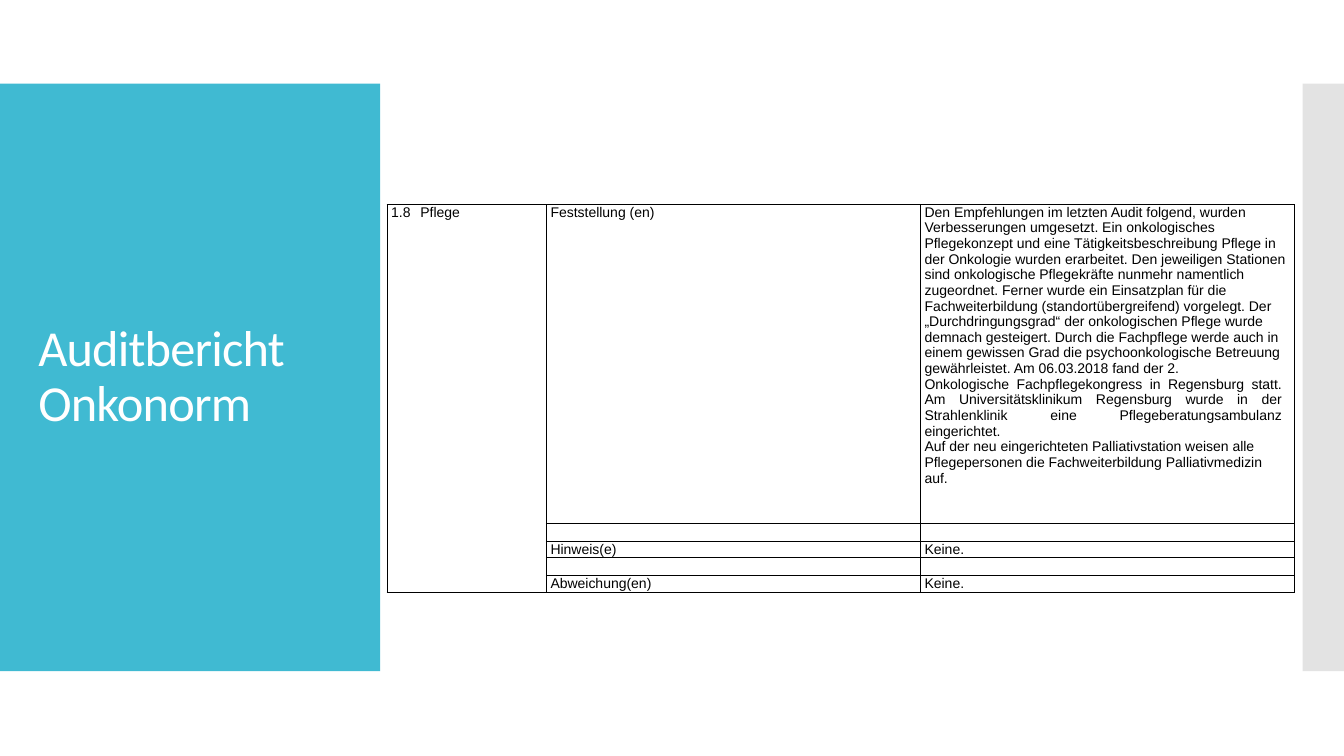
import pptx
import pptx.util
import pptx.dml.color
import pptx.enum.shapes
import pptx.enum.text
import pptx.oxml.ns
from lxml import etree

Inches, Pt = pptx.util.Inches, pptx.util.Pt
ALIGN = pptx.enum.text.PP_ALIGN
WIDTH, HEIGHT = 13.33, 7.5
COLORS = {"panel": "40BAD2", "strip": "C8C8C8", "title": "FFFFFF", "ink": "000000"}
COLUMNS = [1.58, 3.71, 3.71]
ROWS = [3.16, 0.18, 0.16, 0.18, 0.17]
FINDINGS = [
    "Den Empfehlungen im letzten Audit folgend, wurden Verbesserungen umgesetzt. "
    "Ein onkologisches Pflegekonzept und eine Tätigkeitsbeschreibung Pflege in der "
    "Onkologie wurden erarbeitet. Den jeweiligen Stationen sind onkologische "
    "Pflegekräfte nunmehr namentlich zugeordnet. Ferner wurde ein Einsatzplan für die "
    "Fachweiterbildung (standortübergreifend) vorgelegt. Der „Durchdringungsgrad“ der "
    "onkologischen Pflege wurde demnach gesteigert. Durch die Fachpflege werde auch in "
    "einem gewissen Grad die psychoonkologische Betreuung gewährleistet. "
    "Am 06.03.2018 fand der 2.",
    "Onkologische Fachpflegekongress in Regensburg statt. Am Universitätsklinikum "
    "Regensburg wurde in der Strahlenklinik eine Pflegeberatungsambulanz eingerichtet.",
    "Auf der neu eingerichteten Palliativstation weisen alle Pflegepersonen die "
    "Fachweiterbildung Palliativmedizin auf.",
]
ENTRIES = [
    (["Feststellung (en)"], FINDINGS, 11.3),
    ([""], [""], None),
    (["Hinweis(e)"], ["Keine."], 11.3),
    ([""], [""], None),
    (["Abweichung(en)"], ["Keine."], 11.5),
]


def color(name):
    """Return the named palette colour."""
    return pptx.dml.color.RGBColor.from_string(COLORS[name])


def add_xml(parent, tag, **attributes):
    """Append a DrawingML element to a parent."""
    child = etree.SubElement(parent, pptx.oxml.ns.qn(tag))
    for key, value in attributes.items():
        child.set(key, str(value))
    return child


def style_font(font, name, size, color_name):
    """Set family, size and colour of a font."""
    font.name, font.size = name, Pt(size)
    font.color.rgb = color(color_name)


def add_band(page, box, color_name, opacity=None):
    """Draw a plain rectangle, optionally translucent."""
    band = page.shapes.add_shape(
        pptx.enum.shapes.MSO_SHAPE.RECTANGLE, *map(Inches, box))
    band.shadow.inherit = False
    band.fill.solid()
    band.fill.fore_color.rgb = color(color_name)
    band.line.fill.background()
    if opacity is not None:
        tint = band.fill._xPr.find(".//" + pptx.oxml.ns.qn("a:srgbClr"))
        add_xml(tint, "a:alpha", val=int(opacity * 100000))


def add_title_panel(page, box, text):
    """Fill the coloured panel and place the title inside it."""
    left, top, width, height = box
    add_band(page, box, "panel")
    title = page.shapes.title
    page.shapes._spTree.append(title._element)
    title.left, title.top = Inches(left + 0.28), Inches(top + 0.4)
    title.width, title.height = Inches(width - 0.55), Inches(height - 0.8)
    frame = title.text_frame
    frame.text = text
    frame.word_wrap = True
    frame.auto_size = pptx.enum.text.MSO_AUTO_SIZE.NONE
    frame.vertical_anchor = pptx.enum.text.MSO_ANCHOR.MIDDLE
    para = frame.paragraphs[0]
    para.alignment, para.line_spacing = ALIGN.LEFT, 0.9
    style_font(para.font, "Calibri", 36, "title")
    para.font._element.set("spc", "-60")


def border_cell(cell):
    """Give a cell thin borders on all sides and no fill."""
    properties = cell._tc.get_or_add_tcPr()
    for side in ("a:lnL", "a:lnR", "a:lnT", "a:lnB"):
        line = add_xml(properties, side, w=Pt(1))
        add_xml(add_xml(line, "a:solidFill"), "a:srgbClr", val=COLORS["ink"])
    cell.fill.background()


def indent_paragraph(para, left, hanging=0, right=0):
    """Set the side indents and the hanging first line of a paragraph."""
    properties = para._p.get_or_add_pPr()
    properties.set("marL", str(Inches(left + hanging)))
    properties.set("marR", str(Inches(right)))
    properties.set("indent", str(Inches(-hanging)))


def fill_cell(cell, texts, spacing=None):
    """Write paragraphs into a cell with a narrow right inset."""
    cell.margin_left = cell.margin_top = cell.margin_bottom = 0
    cell.margin_right = Inches(0.06)
    frame = cell.text_frame
    frame.text = "\n".join(texts)
    for index, para in enumerate(frame.paragraphs):
        indent_paragraph(para, 0.04, 0.29 if "\t" in texts[index] else 0,
                         0.07 if index else 0)
        para.alignment = ALIGN.JUSTIFY if index == 1 else ALIGN.LEFT
        if spacing and len(texts) == 1:
            para.line_spacing = Pt(spacing)
        style_font(para.font, "Arial", 10, "ink")
        if not texts[index]:
            add_xml(para._p, "a:endParaRPr", sz=1000)


def add_audit_table(page, left, top):
    """Place the audit table with its merged chapter column."""
    frame = page.shapes.add_table(
        len(ROWS), len(COLUMNS), Inches(left), Inches(top),
        Inches(sum(COLUMNS)), Inches(sum(ROWS)))
    table = frame.table
    table.first_row = table.horz_banding = False
    for column, width in zip(table.columns, COLUMNS):
        column.width = Inches(width)
    for row, height in zip(table.rows, ROWS):
        row.height = Inches(height)
    for cell in table.iter_cells():
        border_cell(cell)
    for index, (label, texts, spacing) in enumerate(ENTRIES):
        fill_cell(table.cell(index, 0), ["1.8\tPflege" if index == 0 else ""], 11.3)
        fill_cell(table.cell(index, 1), label, spacing)
        fill_cell(table.cell(index, 2), texts, spacing)
    table.cell(0, 0).merge(table.cell(len(ROWS) - 1, 0))


def main():
    """Build the deck with its single audit page."""
    deck = pptx.Presentation()
    deck.slide_width, deck.slide_height = Inches(WIDTH), Inches(HEIGHT)
    page = deck.slides.add_slide(deck.slide_layouts[5])
    top, height = 0.83, 5.83
    add_band(page, (WIDTH - 0.41, top, 0.41, height), "strip", 0.5)
    add_title_panel(page, (0, top, 3.77, height), "Auditbericht Onkonorm")
    add_audit_table(page, 3.84, 2.03)
    deck.save("out.pptx")


if __name__ == "__main__":
    main()
